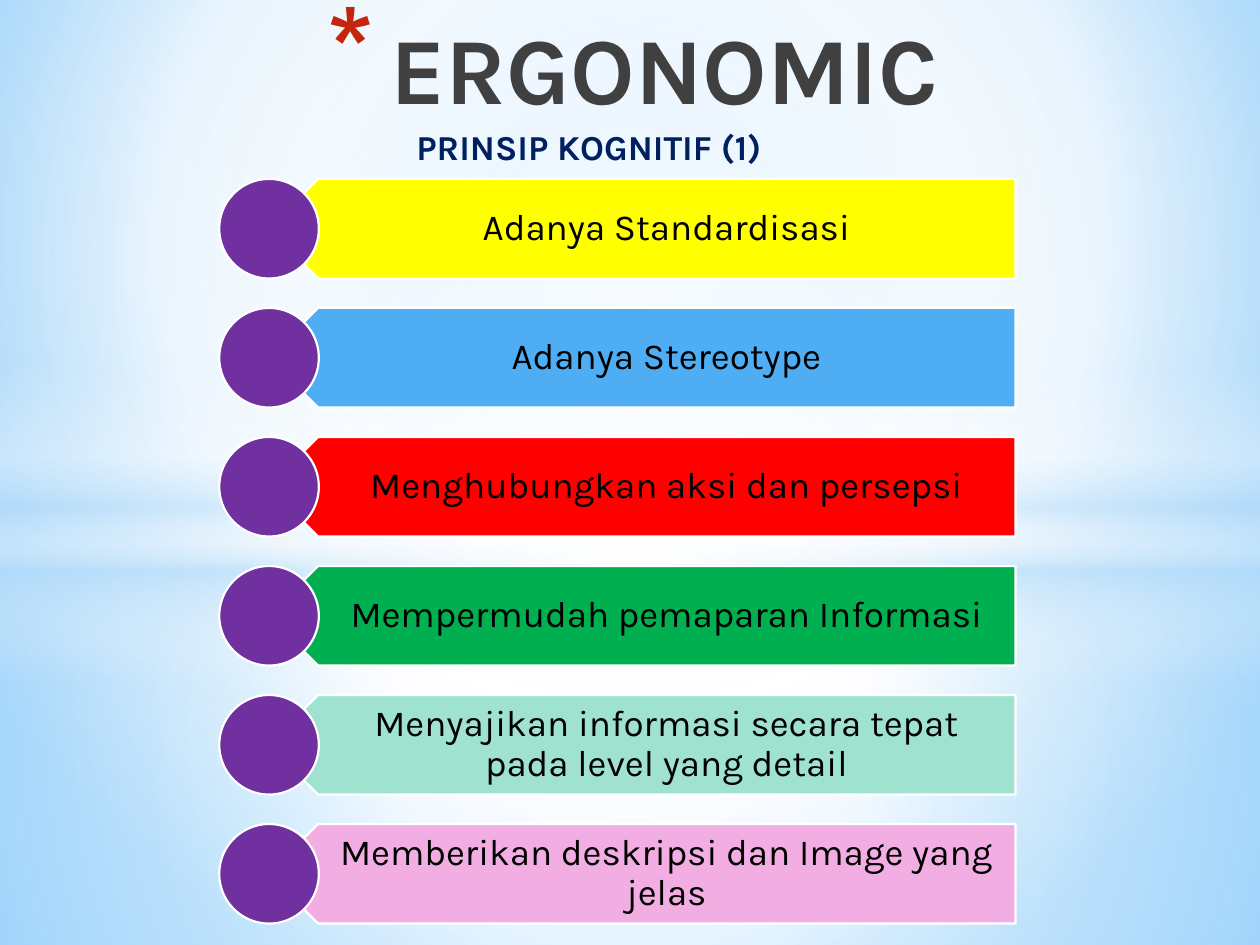
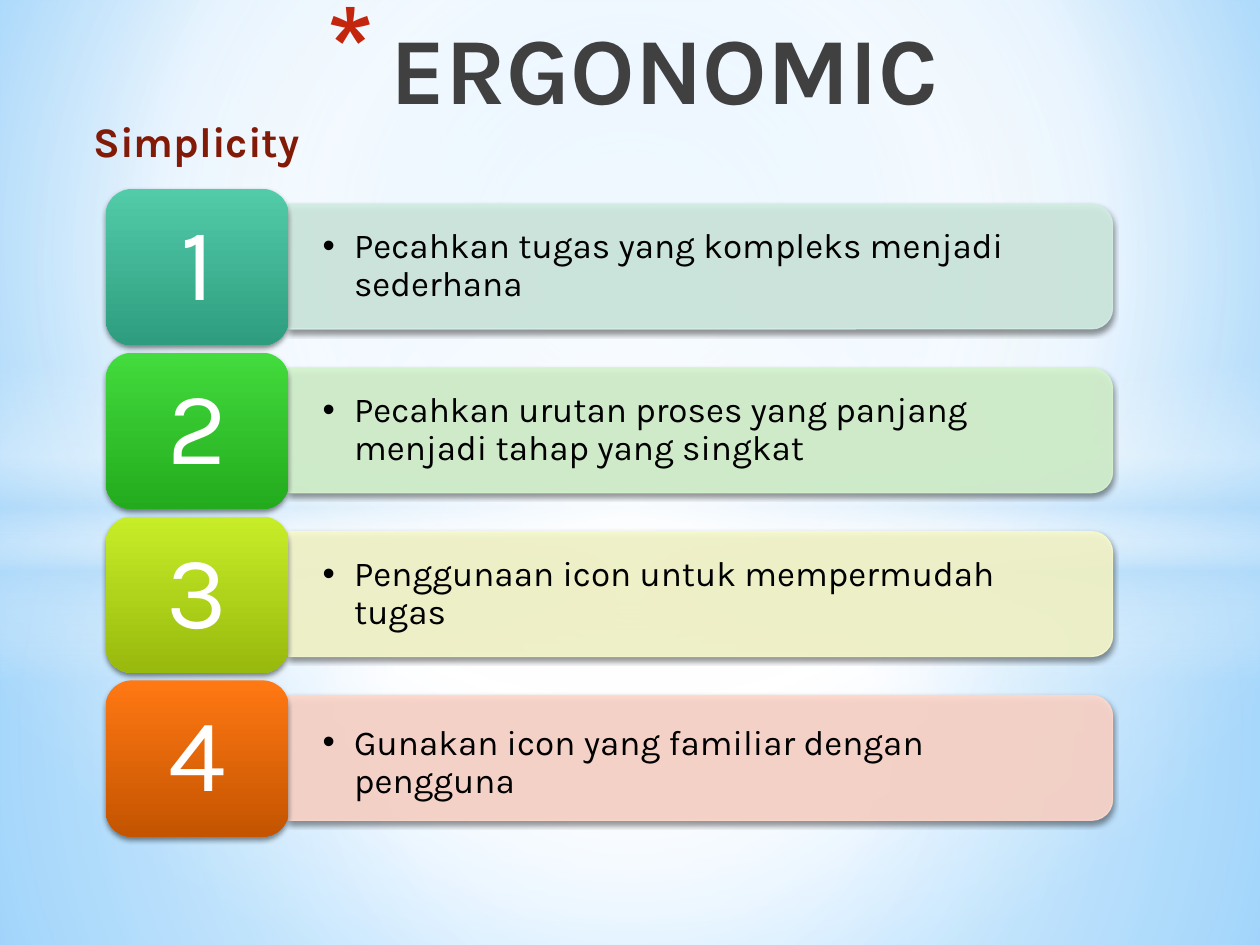
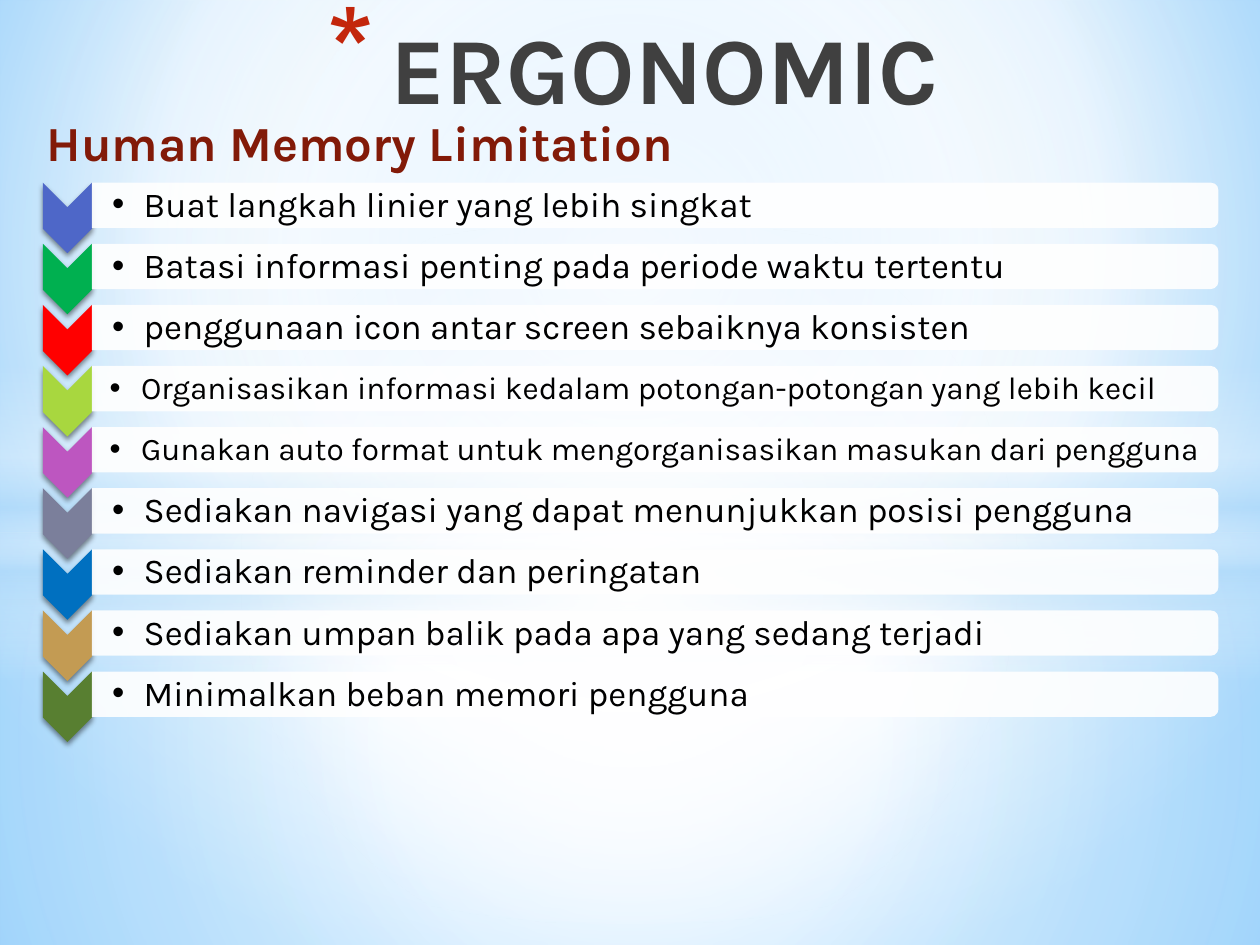
from pptx import Presentation
from pptx.dml.color import RGBColor as RGB
from pptx.enum.shapes import MSO_SHAPE as SHAPE
from pptx.enum.text import MSO_ANCHOR as ANCHOR, PP_ALIGN as ALIGN
from pptx.oxml import parse_xml
from pptx.oxml.ns import nsdecls, qn
from pptx.util import Inches, Pt

# Content
TITLE = "ERGONOMIC"
RULES = [
    ("Adanya Standardisasi", RGB(0xFF, 0xFF, 0x00)),
    ("Adanya Stereotype", RGB(0x4F, 0xAD, 0xF3)),
    ("Menghubungkan aksi dan persepsi", RGB(0xFF, 0x00, 0x00)),
    ("Mempermudah pemaparan Informasi", RGB(0x00, 0xB0, 0x50)),
    ("Menyajikan informasi secara tepat pada level yang detail",
     RGB(0x9E, 0xE2, 0xCF)),
    ("Memberikan deskripsi dan Image yang jelas", RGB(0xF2, 0xAE, 0xE3)),
]
# Text, bar colour, tile gradient from top to bottom, text drop
STEPS = [
    ("Pecahkan tugas yang kompleks menjadi sederhana",
     RGB(0xD2, 0xED, 0xE3), "52CBA9", "2E9D7F", 0),
    ("Pecahkan urutan proses yang panjang menjadi tahap yang singkat",
     RGB(0xD5, 0xF4, 0xCF), "43DB3D", "23AB1D", 0),
    ("Penggunaan icon untuk mempermudah tugas",
     RGB(0xF8, 0xFA, 0xCD), "C7ED28", "98B90D", 0),
    ("Gunakan icon yang familiar dengan pengguna",
     RGB(0xFF, 0xD8, 0xCC), "FF7813", "C45400", 0.04),
]
# Text, size, chevron colour
LIMITS = [
    ("Buat langkah linier yang lebih singkat", 20, RGB(0x4E, 0x67, 0xC8)),
    ("Batasi informasi penting pada periode waktu tertentu", 20,
     RGB(0x00, 0xB0, 0x50)),
    ("penggunaan icon antar screen sebaiknya konsisten", 20,
     RGB(0xFF, 0x00, 0x00)),
    ("Organisasikan informasi kedalam potongan-potongan yang lebih kecil", 18,
     RGB(0xA8, 0xD7, 0x3F)),
    ("Gunakan auto format untuk mengorganisasikan masukan dari pengguna", 18,
     RGB(0xBD, 0x56, 0xC0)),
    ("Sediakan navigasi yang dapat menunjukkan posisi pengguna", 20,
     RGB(0x7B, 0x7F, 0x9B)),
    ("Sediakan reminder dan peringatan", 20, RGB(0x00, 0x70, 0xC0)),
    ("Sediakan umpan balik pada apa yang sedang terjadi", 20,
     RGB(0xC3, 0x9B, 0x53)),
    ("Minimalkan beban memori pengguna", 20, RGB(0x58, 0x7F, 0x31)),
]

# Shared look
FONT = "Karla"
BLACK, WHITE = RGB(0, 0, 0), RGB(255, 255, 255)
DARK = RGB(0x40, 0x40, 0x40)
NAVY = RGB(0x00, 0x20, 0x60)
MAROON = RGB(0x82, 0x1A, 0x08)
PURPLE = RGB(0x70, 0x30, 0xA0)
SKY = [(0, "9ED5FF", 100), (60, "FFFFFF", 100), (100, "5BB9FF", 100)]
INK = [(0, "000000", 100), (40, "404040", 100), (100, "212745", 65)]
MID = (50, 50, 50, 50)
# Shape, box, gradient stops, focus (None means top to bottom)
BANDS = [
    (SHAPE.RECTANGLE, (0, 4.23, 10, 3.27),
     [(0, "FFFFFF", 91), (37, "FFFFFF", 76), (100, "B4DCFA", 79)], MID),
    (SHAPE.RECTANGLE, (0, 0, 10, 4.23),
     [(0, "FFFFFF", 89), (48, "FFFFFF", 62), (100, "B4DCFA", 79)], MID),
    (SHAPE.RECTANGLE, (0, 2.9, 10, 2.5),
     [(0, "FFFFFF", 0), (29, "FFFFFF", 30), (45, "B4DCFA", 40),
      (55, "FFFFFF", 26), (65, "B4DCFA", 60), (100, "FFFFFF", 0)], None),
    (SHAPE.OVAL, (0, 1.75, 10, 5.58),
     [(0, "FFFFFF", 100), (54, "FFFFFF", 0)], MID),
]


def blend(node, stops, focus=None):
    """Swap the first solid fill under node for a gradient."""
    marks = "".join(
        f'<a:gs pos="{pos * 1000}"><a:srgbClr val="{tint}">'
        f'<a:alpha val="{alpha * 1000}"/></a:srgbClr></a:gs>'
        for pos, tint, alpha in stops)
    if focus:
        edges = " ".join(f'{side}="{val * 1000}"'
                         for side, val in zip("ltrb", focus))
        way = f'<a:path path="circle"><a:fillToRect {edges}/></a:path>'
    else:
        way = '<a:lin ang="5400000" scaled="0"/>'
    old = node.find(".//" + qn("a:solidFill"))
    old.getparent().replace(old, parse_xml(
        f'<a:gradFill {nsdecls("a")} rotWithShape="1">'
        f'<a:gsLst>{marks}</a:gsLst>{way}</a:gradFill>'))


def fade(shape, alpha):
    for tint in shape._element.spPr.iter(qn("a:srgbClr")):
        tint.append(parse_xml(
            f'<a:alpha {nsdecls("a")} val="{alpha * 1000}"/>'))


def shade(shape):
    """Give the shape a soft shadow straight below it."""
    effects = shape._element.spPr.find(qn("a:effectLst"))
    effects.append(parse_xml(
        f'<a:outerShdw {nsdecls("a")} blurRad="{Pt(3.1)}" dist="{Pt(1.8)}" '
        'dir="5400000" rotWithShape="0"><a:srgbClr val="000000">'
        '<a:alpha val="45000"/></a:srgbClr></a:outerShdw>'))


def draw(slide, kind, box, fill, line=None, width=1.25, turn=0):
    """Draw a shape whose box is given as seen after turning."""
    x, y, w, h = box
    if turn == 90:
        x, y, w, h = x + (w - h) / 2, y + (h - w) / 2, h, w
    shape = slide.shapes.add_shape(kind, *map(Inches, (x, y, w, h)))
    shape.rotation = turn
    shape.shadow.inherit = False
    shape.fill.solid()
    shape.fill.fore_color.rgb = fill
    if line is None:
        shape.line.fill.background()
    else:
        shape.line.color.rgb = line
        shape.line.width = Pt(width)
    return shape


def write(frame, text, size, color, bold=False, align=ALIGN.CENTER,
          anchor=ANCHOR.MIDDLE, pads=(0.1, 0.05, 0.1, 0.05), space=0.9):
    frame.word_wrap = True
    frame.vertical_anchor = anchor
    (frame.margin_left, frame.margin_top,
     frame.margin_right, frame.margin_bottom) = map(Inches, pads)
    frame.text = text
    para = frame.paragraphs[0]
    para.alignment = align
    para.line_spacing = space
    font = para.runs[0].font
    font.name, font.size, font.bold = FONT, Pt(size), bold
    font.color.rgb = color
    return para


def label(slide, box, *args, **opts):
    frame = slide.shapes.add_textbox(*map(Inches, box)).text_frame
    return write(frame, *args, **opts)


def bullet(para, char, left, hang, look):
    props = para._p.get_or_add_pPr()
    props.set("marL", str(Inches(left)))
    props.set("indent", str(-Inches(hang)))
    for part in (*look, f'buChar char="{char}"'):
        tag = part if part.endswith(">") else part + "/>"
        props.append(parse_xml("<a:" + tag.replace(" ", f' {nsdecls("a")} ', 1)))


def point(slide, box, text, size, pads):
    para = label(slide, box, text, size, BLACK, align=ALIGN.LEFT, pads=pads)
    bullet(para, "•", 0.25, 0.25, ['buFont typeface="Arial"'])


def start(prs, box, text, size, color):
    """Add a slide with the backdrop, the title and a subtitle."""
    slide = prs.slides.add_slide(prs.slide_layouts[6])
    slide.background.fill.solid()
    blend(slide._element, SKY, (20, 10, 20, 60))
    for kind, place, stops, focus in BANDS:
        band = draw(slide, kind, place, WHITE)
        blend(band._element.spPr, stops, focus)
    para = label(slide, (1, 0.03, 7.85, 0.83), TITLE, 54, DARK, True,
                 anchor=ANCHOR.TOP, space=1.0)
    bullet(para, "*", 0.7, 0.5,
           ['buClr ><a:srgbClr val="C3260C"/></a:buClr>',
            'buSzPct val="128000"'])
    blend(para.runs[0]._r, INK)
    label(slide, box, text, size, color, True, anchor=ANCHOR.TOP, space=1.0)
    return slide


def rules(prs):
    slide = start(prs, (2.08, 0.95, 5.19, 0.44), "PRINSIP KOGNITIF (1)",
                  20, NAVY)
    side = 0.79
    for row, (text, color) in enumerate(RULES):
        y = 1.42 + row * 1.024
        draw(slide, SHAPE.PENTAGON, (2.13, y, 5.93, side), color, WHITE,
             turn=180)
        label(slide, (2.33, y, 5.73, side), text, 21, BLACK,
              pads=(0.35, 0.09, 0.16, 0.09))
        draw(slide, SHAPE.OVAL, (1.74, y, side, side), PURPLE, WHITE)


def steps(prs):
    slide = start(prs, (0.2, 0.87, 2.72, 0.5), "Simplicity", 24, MAROON)
    for row, (text, color, top, base, drop) in enumerate(STEPS):
        y = 1.5 + row * 1.3
        bar = draw(slide, SHAPE.ROUND_2_SAME_RECTANGLE,
                   (2.29, y + 0.12, 6.54, 0.99), color, color, 0.75, 90)
        fade(bar, 90)
        shade(bar)
        point(slide, (2.29, y + 0.17 + drop, 6.49, 0.89), text, 20,
              (0.27, 0.14, 0.27, 0.14))
        tile = draw(slide, SHAPE.ROUNDED_RECTANGLE, (0.84, y, 1.45, 1.24),
                    WHITE)
        blend(tile._element.spPr, [(0, top, 100), (100, base, 100)])
        shade(tile)
        write(tile.text_frame, str(row + 1), 59, WHITE)


def limits(prs):
    slide = start(prs, (0.21, 0.84, 5.29, 0.57), "Human Memory Limitation",
                  28, MAROON)
    for row, (text, size, color) in enumerate(LIMITS):
        y = 1.45 + row * 0.485
        arrow = draw(slide, SHAPE.CHEVRON, (0.34, y, 0.39, 0.56), color,
                     turn=90)
        shade(arrow)
        bar = draw(slide, SHAPE.ROUND_2_SAME_RECTANGLE,
                   (0.73, y, 8.94, 0.36), WHITE, turn=90)
        fade(bar, 90)
        left = 0.16 if size == 20 else 0.14
        point(slide, (0.73, y + 0.02, 8.92, 0.33), text, size,
              (left, 0.01, 0.01, 0.01))


def main():
    prs = Presentation()
    prs.slide_width, prs.slide_height = Inches(10), Inches(7.5)
    rules(prs)
    steps(prs)
    limits(prs)
    prs.save("out.pptx")


if __name__ == "__main__":
    main()
